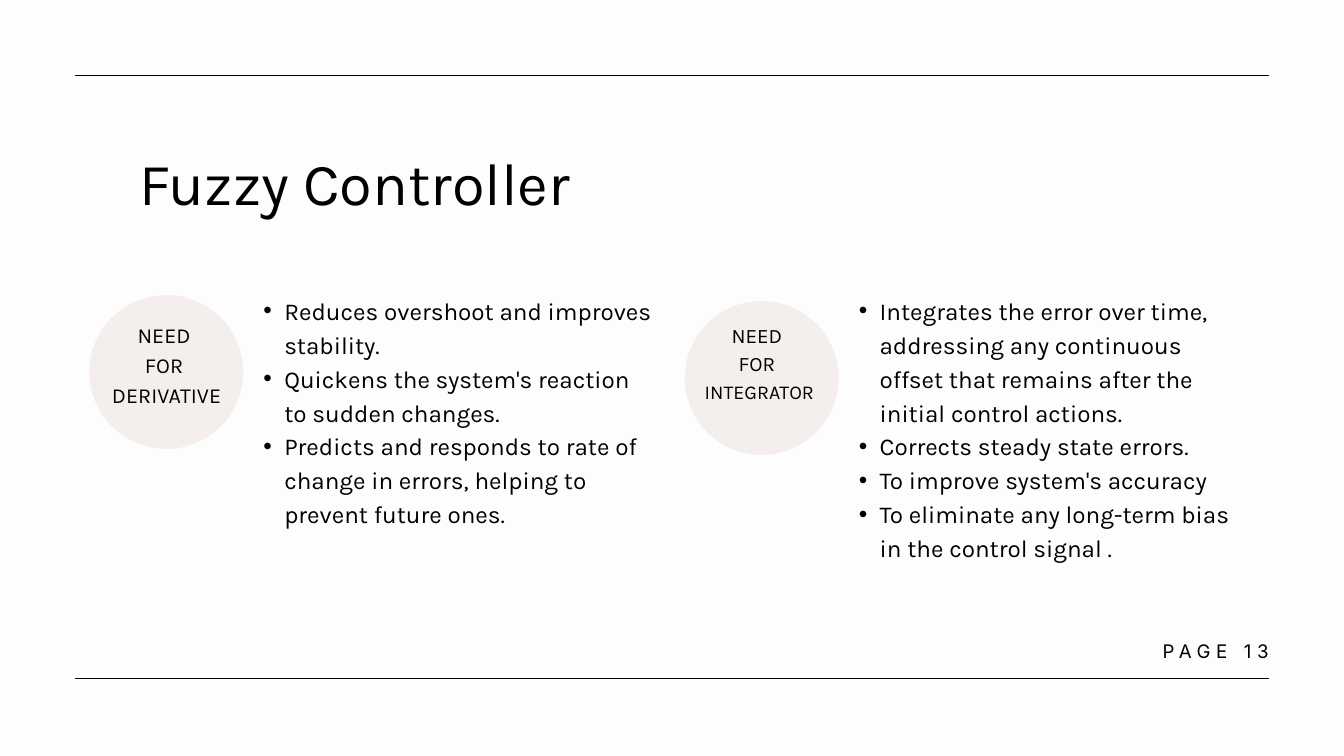
import pptx
import pptx.dml.color
import pptx.enum.shapes
import pptx.enum.text
import pptx.oxml.ns
import pptx.util
from lxml import etree

PX = 9144  # EMU in one px: 100 px to the inch
BLACK = pptx.dml.color.RGBColor(0x00, 0x00, 0x00)
PAPER = pptx.dml.color.RGBColor(0xFD, 0xFD, 0xFD)
BLUSH = pptx.dml.color.RGBColor(0xF4, 0xEF, 0xED)
ALIGN = pptx.enum.text.PP_ALIGN

FRAME = {
    "margin_left": 0, "margin_top": 0, "margin_right": 0, "margin_bottom": 0,
    "word_wrap": True,
    "auto_size": pptx.enum.text.MSO_AUTO_SIZE.NONE,
    "vertical_anchor": pptx.enum.text.MSO_ANCHOR.TOP,
}

WIDTH, HEIGHT, MARGIN = 2000, 1125, 112
CIRCLE = 229
LIST_TOP, LIST_WIDTH, LIST_INDENT, BULLET_INDENT = 433, 612, 61, -31

# Each column: circle corner, label box, label lines (text, size, leading),
# list left edge, list items.
COLUMNS = [
    ((133, 439), (151, 473, 194, 130),
     [("NEED ", 23, 32.2), ("FOR ", 23, 32.2), ("DERIVATIVE", 23, 32.2)],
     362,
     ["Reduces overshoot and improves stability.",
      "Quickens the system's reaction to sudden changes.",
      "Predicts and responds to rate of change in errors, "
      "helping to prevent future ones."]),
    ((1019, 448), (1013, 474, 234, 124),
     [("NEED ", 22, 30.8), ("FOR ", 22, 30.8), ("INTEGRATOR", 21, 29.4)],
     1248,
     ["Integrates the error over time, addressing any continuous offset "
      "that remains after the initial control actions.",
      "Corrects steady state errors.",
      "To improve system's accuracy",
      "To eliminate any long-term bias in the control signal ."]),
]


def px(*lengths):
    return [pptx.util.Emu(length * PX) for length in lengths]


def set_format(target, values):
    for name, value in values.items():
        setattr(target, name, value)


def place(shape, left, top, width, height):
    names = ("left", "top", "width", "height")
    set_format(shape, dict(zip(names, px(left, top, width, height))))


def write_lines(box, lines, align, font="Karla"):
    """Fill the box with (text, size, leading) lines and return the paragraphs."""
    frame = box.text_frame
    set_format(frame, FRAME)
    for index, (text, size, leading) in enumerate(lines):
        para = frame.paragraphs[0] if index == 0 else frame.add_paragraph()
        set_format(para, {
            "alignment": align,
            "line_spacing": pptx.util.Pt(leading),
            "space_before": pptx.util.Pt(0),
            "space_after": pptx.util.Pt(0),
        })
        span = para.add_run()
        span.text = text
        set_format(span.font, {"name": font, "size": pptx.util.Pt(size)})
        span.font.color.rgb = BLACK
    return frame.paragraphs


def add_rule(page, top):
    rule = page.shapes.add_connector(
        pptx.enum.shapes.MSO_CONNECTOR.STRAIGHT,
        *px(MARGIN, top, WIDTH - MARGIN, top))
    rule.line.color.rgb = BLACK
    rule.line.width = pptx.util.Pt(1.5)
    etree.SubElement(rule._element.spPr, pptx.oxml.ns.qn("a:effectLst"))


def add_circle(page, left, top):
    circle = page.shapes.add_shape(
        pptx.enum.shapes.MSO_SHAPE.OVAL, *px(left, top, CIRCLE, CIRCLE))
    circle.shadow.inherit = False
    circle.fill.solid()
    circle.fill.fore_color.rgb = BLUSH
    circle.line.fill.background()


def add_text(page, position, lines, align, font="Karla"):
    box = page.shapes.add_textbox(*px(*position))
    return write_lines(box, lines, align, font)


def fill_list(body, left, items):
    place(body, left, LIST_TOP, LIST_WIDTH, 447)
    lines = [(item, 26, 36.4) for item in items]
    for para in write_lines(body, lines, ALIGN.LEFT):
        properties = para._p.get_or_add_pPr()
        properties.set("marL", str(LIST_INDENT * PX))
        properties.set("indent", str(BULLET_INDENT * PX))
        bullet = etree.SubElement(properties, pptx.oxml.ns.qn("a:buChar"))
        bullet.set("char", "•")


def main():
    deck = pptx.Presentation()
    deck.slide_width, deck.slide_height = px(WIDTH, HEIGHT)
    page = deck.slides.add_slide(deck.slide_layouts.get_by_name("Two Content"))
    page.background.fill.solid()
    page.background.fill.fore_color.rgb = PAPER
    title, *bodies = page.placeholders

    for top in (MARGIN, 1010):
        add_rule(page, top)
    place(title, 207, 199, 1586, 120)
    write_lines(title, [("Fuzzy Controller", 63.8, 89.3)], ALIGN.LEFT)

    for body, column in zip(bodies, COLUMNS):
        corner, label_position, label, list_left, items = column
        add_circle(page, *corner)
        add_text(page, label_position, label, ALIGN.CENTER)
        fill_list(body, list_left, items)

    footer = add_text(page, (1564, 947, 324, 77), [("PAGE 13", 20, 28)],
                      ALIGN.RIGHT, "Inter")
    footer[0].runs[0].font._element.set("spc", "600")
    deck.save("out.pptx")


if __name__ == "__main__":
    main()
